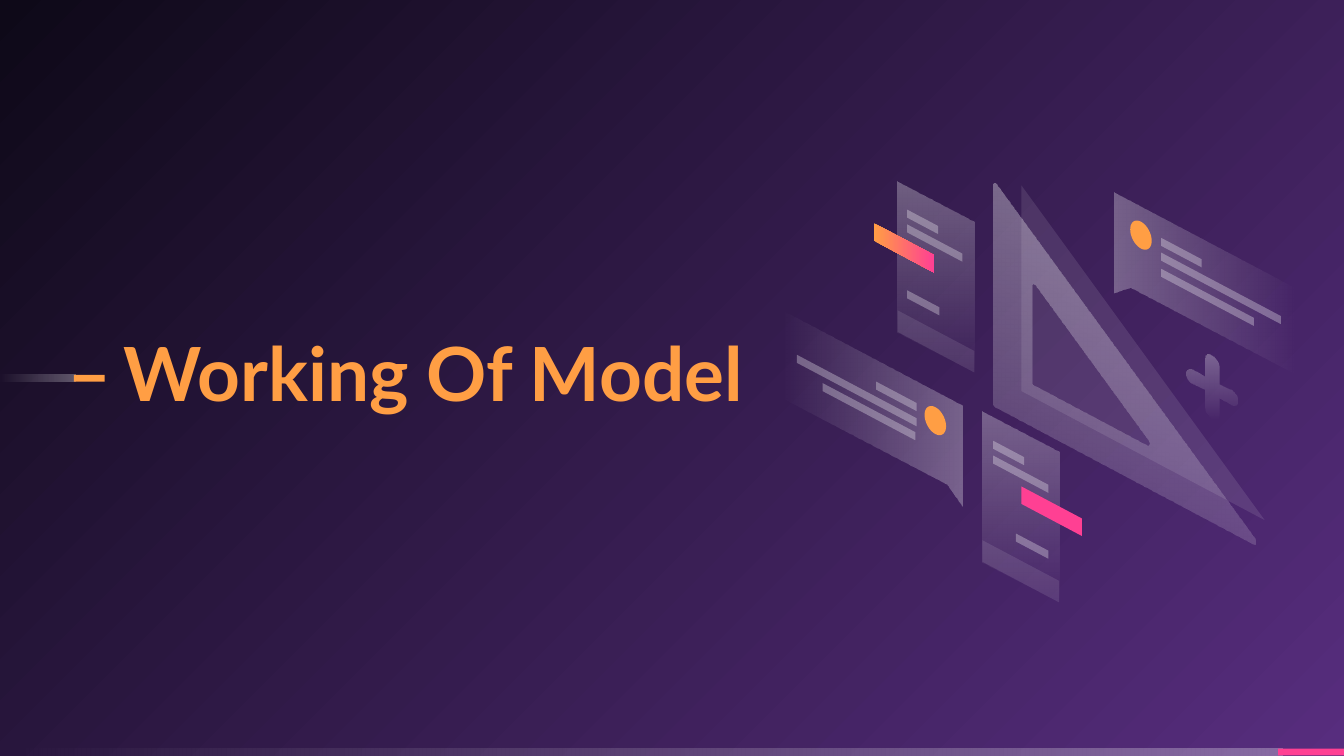
import math
from dataclasses import dataclass

from lxml import etree
from pptx import Presentation
from pptx import util as u
from pptx.dml.color import RGBColor
from pptx.enum import shapes, text
from pptx.oxml.ns import qn


@dataclass(frozen=True)
class Theme:
    glow: str = "572D7E"
    night: str = "0E0918"
    orange: str = "FF9E44"
    pink: str = "FF4093"
    white: str = "FFFFFF"
    font: str = "Lato"
    title_size: int = 40
    slope: float = 0.53


THEME = Theme()
FADE = ((THEME.white, 30), (THEME.white, 0))
VEIL = ((THEME.white, 10),)
STROKE = ((THEME.white, 30),)
ORANGE = ((THEME.orange, 100),)
PINK = ((THEME.pink, 100),)


def write(frame, content, *, font, size, color, bold=False, spacing=1.0):
    paragraph = frame.paragraphs[0]
    paragraph.alignment = text.PP_ALIGN.LEFT
    paragraph.line_spacing = spacing
    run = paragraph.add_run()
    run.text = content
    run.font.name = font
    run.font.size = u.Pt(size)
    run.font.bold = bold
    run.font.color.rgb = RGBColor.from_string(color)


def trace(start, *steps):
    points = [start]
    for step in steps:
        if len(step) == 2:
            points.append(step)
            continue
        knots = [points[-1], step[:2], step[2:4], step[4:]]
        for i in range(1, 9):
            t = i / 8
            weights = ((1 - t) ** 3, 3 * t * (1 - t) ** 2,
                       3 * t * t * (1 - t), t ** 3)
            points.append(tuple(sum(w * k[axis] for w, k in zip(weights, knots))
                                for axis in (0, 1)))
    return points


class Composer:
    def __init__(self, slide, theme):
        self.slide = slide
        self.theme = theme
        self.layer = slide.shapes

    def background(self):
        fill = self.slide.background.fill
        fill.gradient()
        for stop, color in zip(fill.gradient_stops, (self.theme.glow, self.theme.night)):
            stop.color.rgb = RGBColor.from_string(color)
        gradient = self.slide.element.find(".//" + qn("a:gradFill"))
        linear = gradient.find(qn("a:lin"))
        radial = etree.Element(qn("a:path"), path="circle")
        etree.SubElement(radial, qn("a:fillToRect"), l="100000", t="100000")
        gradient.replace(linear, radial)

    def paint(self, shape, colors, angle=0):
        if len(colors) == 1:
            shape.fill.solid()
            targets = [shape.fill.fore_color]
        else:
            shape.fill.gradient()
            shape.fill.gradient_angle = -angle % 360
            targets = [stop.color for stop in shape.fill.gradient_stops]
        for target, (color, _) in zip(targets, colors):
            target.rgb = RGBColor.from_string(color)
        for node, (_, alpha) in zip(shape.element.iter(qn("a:srgbClr")), colors):
            if alpha < 100:
                etree.SubElement(node, qn("a:alpha"), val=str(alpha * 1000))
        shape.line.fill.background()
        shape.shadow.inherit = False

    def band(self, x, y, width, colors, angle=0):
        shape = self.layer.add_shape(shapes.MSO_SHAPE.RECTANGLE, u.Inches(x),
                                     u.Inches(y), u.Inches(width), u.Inches(0.05))
        self.paint(shape, colors, angle)

    def outline(self, contours, colors, angle=0):
        builder = None
        for contour in contours:
            points = [(u.Inches(x), u.Inches(y)) for x, y in contour]
            if builder is None:
                builder = self.layer.build_freeform(*points[0])
            else:
                builder.move_to(*points[0])
            builder.add_line_segments(points[1:], close=True)
        self.paint(builder.convert_to_shape(), colors, angle)

    def panel(self, x, y, width, height, colors, angle=0):
        drop = width * self.theme.slope
        self.outline([[(x, y), (x + width, y + drop),
                       (x + width, y + drop + height), (x, y + height)]], colors, angle)

    def dot(self, x, y):
        angles = [math.tau * i / 40 for i in range(40)]
        self.outline([[(x + 0.08 * math.cos(a),
                        y + 0.08 * self.theme.slope * math.cos(a) + 0.1 * math.sin(a))
                       for a in angles]], ORANGE)

    def lines(self, rows):
        for x, y, width in rows:
            self.panel(x, y, width, 0.06, STROKE)

    def bubble(self, corners, angle, dot, rows):
        self.outline([corners], FADE, angle)
        self.dot(*dot)
        self.lines(rows)

    def card(self, x, y, tab, tab_colors, rows):
        self.panel(x, y, 0.57, 1.12, FADE, 90)
        self.panel(*tab, 0.45, 0.13, tab_colors)
        self.panel(x, y + 0.96, 0.57, 0.16, VEIL)
        self.lines(rows)

    def title(self, content):
        heading = self.slide.shapes.title
        heading.left, heading.top = u.Inches(0.92), u.Inches(2.52)
        heading.width, heading.height = u.Inches(5.59), u.Inches(0.59)
        frame = heading.text_frame
        frame.margin_left = frame.margin_right = 0
        frame.margin_top = frame.margin_bottom = 0
        frame.word_wrap = True
        frame.auto_size = text.MSO_AUTO_SIZE.NONE
        frame.vertical_anchor = text.MSO_ANCHOR.BOTTOM
        write(frame, content, font=self.theme.font, size=self.theme.title_size,
              color=self.theme.orange, bold=True, spacing=0.9)

    def set_square(self):
        self.outline([[(7.6, 1.38), (9.41, 3.87), (7.6, 2.91)]], VEIL)
        rim = trace((9.33, 4.05), (9.34, 4.06, 9.35, 4.03, 9.34, 4.01), (7.42, 1.38),
                    (7.41, 1.36, 7.39, 1.36, 7.39, 1.38), (7.39, 3),
                    (7.39, 3.01, 7.4, 3.03, 7.41, 3.03))
        window = trace((7.68, 2.13), (7.68, 2.11, 7.69, 2.11, 7.71, 2.13), (8.55, 3.28),
                       (8.56, 3.3, 8.55, 3.32, 8.53, 3.31), (7.7, 2.87),
                       (7.68, 2.86, 7.68, 2.85, 7.68, 2.84))
        self.outline([rim, window], ((self.theme.white, 40), (self.theme.white, 10)), 110)

    def plus(self):
        half = trace((9.02, 2.65), (9.05, 2.67, 9.07, 2.7, 9.07, 2.73), (9.07, 2.86),
                     (9.16, 2.9), (9.19, 2.92, 9.21, 2.95, 9.21, 2.98),
                     (9.21, 3.01, 9.19, 3.02, 9.16, 3.01), (9.07, 2.96), (9.07, 3.09),
                     (9.07, 3.12, 9.05, 3.13, 9.02, 3.11))
        turned = [(18.04 - x, 5.76 - y) for x, y in half]
        self.outline([half + turned], FADE, 90)

    def illustration(self):
        self.layer = self.slide.shapes.add_group_shape().shapes
        self.set_square()
        self.bubble([(8.29, 1.43), (9.65, 2.15), (9.65, 2.79), (8.41, 2.14), (8.29, 2.18)],
                    0, (8.49, 1.75),
                    [(8.64, 1.77, 0.3), (8.64, 1.88, 0.89), (8.64, 2, 0.69)])
        self.bubble([(7.16, 3.02), (5.81, 2.3), (5.81, 2.95), (7.04, 3.6), (7.16, 3.77)],
                    180, (6.96, 3.13),
                    [(6.52, 2.84, 0.3), (5.93, 2.64, 0.89), (6.12, 2.85, 0.69)])
        self.card(6.68, 1.35, (6.5, 1.66), ORANGE + PINK,
                  [(6.75, 1.56, 0.23), (6.75, 1.67, 0.41), (6.75, 2.16, 0.24)])
        self.card(7.31, 3.06, (7.6, 3.62), PINK,
                  [(7.39, 3.28, 0.23), (7.39, 3.39, 0.41), (7.56, 3.97, 0.24)])
        self.plus()
        self.layer = self.slide.shapes


def main():
    deck = Presentation()
    deck.slide_width = u.Inches(10)
    deck.slide_height = deck.slide_width * 9 // 16
    slide = deck.slides.add_slide(deck.slide_layouts[0])
    subtitle = slide.placeholders[1].element
    subtitle.getparent().remove(subtitle)
    composer = Composer(slide, THEME)
    composer.background()
    composer.band(0, 5.57, 9.54, FADE, 180)
    composer.band(9.51, 5.57, 0.49, PINK)
    composer.band(0, 2.79, 0.56, FADE, 180)
    composer.band(0.55, 2.79, 0.23, ORANGE)
    composer.title("Working Of Model")
    composer.illustration()
    deck.save("out.pptx")


if __name__ == "__main__":
    main()
